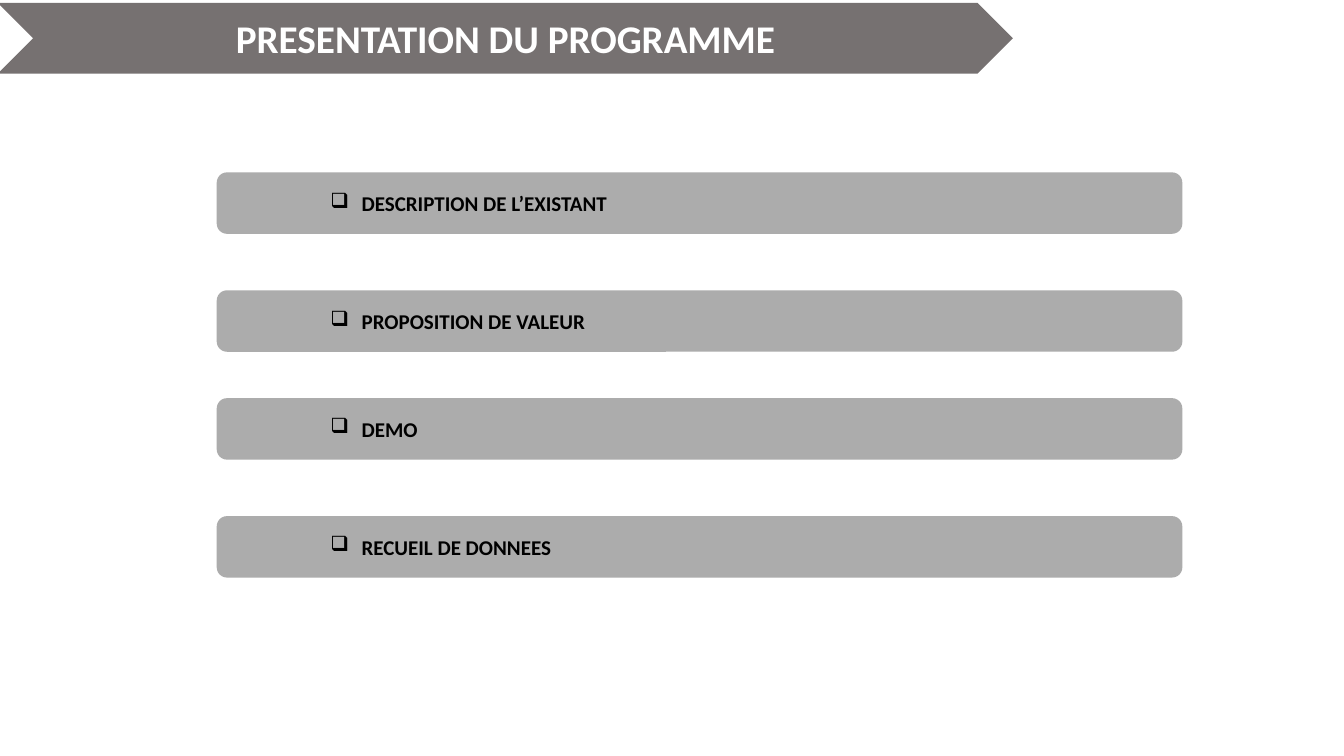
"""Build the programme overview slide: a chevron heading over four agenda bars."""

from dataclasses import dataclass

from lxml.etree import SubElement
from pptx import Presentation
from pptx.dml.color import RGBColor
from pptx.enum.shapes import MSO_SHAPE as Preset
from pptx.enum.text import MSO_ANCHOR as Anchor, MSO_AUTO_SIZE as AutoSize, PP_ALIGN as Align
from pptx.oxml.ns import qn
from pptx.shapes.autoshape import Shape
from pptx.slide import Slide
from pptx.text.text import Font
from pptx.util import Pt


@dataclass(frozen=True)
class Theme:
    font: str = "Calibri"
    heading_fill: RGBColor = RGBColor(0x76, 0x71, 0x71)
    heading_text: RGBColor = RGBColor(0xFF, 0xFF, 0xFF)
    bar_fill: RGBColor = RGBColor(0xAC, 0xAC, 0xAC)
    bar_text: RGBColor = RGBColor(0, 0, 0)
    heading_size: float = 28
    bar_size: float = 15


@dataclass(frozen=True)
class Box:
    left: float
    top: float
    width: float
    height: float

    def lengths(self) -> tuple[Pt, Pt, Pt, Pt]:
        return Pt(self.left), Pt(self.top), Pt(self.width), Pt(self.height)


@dataclass(frozen=True)
class AgendaItem:
    label: str
    top: float


THEME = Theme()
HEADING = "PRESENTATION DU PROGRAMME"
HEADING_BOX = Box(-1.44, 2.16, 725.04, 50.4)
BAR_LEFT, BAR_WIDTH, BAR_HEIGHT = 154.8, 689.76, 43.92
BULLET_MARGIN, BULLET_HANGING = 94.32, 22.32
AGENDA = (
    AgendaItem("DESCRIPTION DE L’EXISTANT", 123.12),
    AgendaItem("PROPOSITION DE VALEUR", 207.36),
    AgendaItem("DEMO", 284.4),
    AgendaItem("RECUEIL DE DONNEES", 368.64),
)


def style_font(font: Font, size: float, color: RGBColor) -> None:
    font.name = THEME.font
    font.size = Pt(size)
    font.bold = True
    font.color.rgb = color


def add_panel(slide: Slide, preset: Preset, box: Box, fill: RGBColor) -> Shape:
    panel = slide.shapes.add_shape(preset, *box.lengths())
    panel.shadow.inherit = False
    panel.fill.solid()
    panel.fill.fore_color.rgb = fill
    panel.line.fill.background()
    return panel


def add_heading(slide: Slide) -> None:
    chevron = add_panel(slide, Preset.CHEVRON, HEADING_BOX, THEME.heading_fill)
    title = slide.shapes.title
    title.left, title.top, title.width, title.height = HEADING_BOX.lengths()
    title._element.addprevious(chevron._element)
    frame = title.text_frame
    frame.text = HEADING
    frame.auto_size = AutoSize.NONE
    frame.vertical_anchor = Anchor.MIDDLE
    paragraph = frame.paragraphs[0]
    paragraph.alignment = Align.CENTER
    style_font(paragraph.font, THEME.heading_size, THEME.heading_text)


def add_agenda_bar(slide: Slide, item: AgendaItem) -> None:
    box = Box(BAR_LEFT, item.top, BAR_WIDTH, BAR_HEIGHT)
    bar = add_panel(slide, Preset.ROUNDED_RECTANGLE, box, THEME.bar_fill)
    frame = bar.text_frame
    frame.text = item.label
    frame.word_wrap = True
    frame.vertical_anchor = Anchor.MIDDLE
    paragraph = frame.paragraphs[0]
    paragraph.level = 2
    paragraph.alignment = Align.LEFT
    style_font(paragraph.font, THEME.bar_size, THEME.bar_text)
    properties = paragraph._p.get_or_add_pPr()
    properties.set("marL", str(Pt(BULLET_MARGIN)))
    properties.set("indent", str(-Pt(BULLET_HANGING)))
    bullet = SubElement(properties, qn("a:buChar"), char="❑")
    properties.find(qn("a:defRPr")).addprevious(bullet)


def main() -> None:
    deck = Presentation()
    deck.slide_width, deck.slide_height = Pt(960), Pt(540)
    slide = deck.slides.add_slide(deck.slide_layouts.get_by_name("Title Only"))
    add_heading(slide)
    for item in AGENDA:
        add_agenda_bar(slide, item)
    deck.save("out.pptx")


if __name__ == "__main__":
    main()
